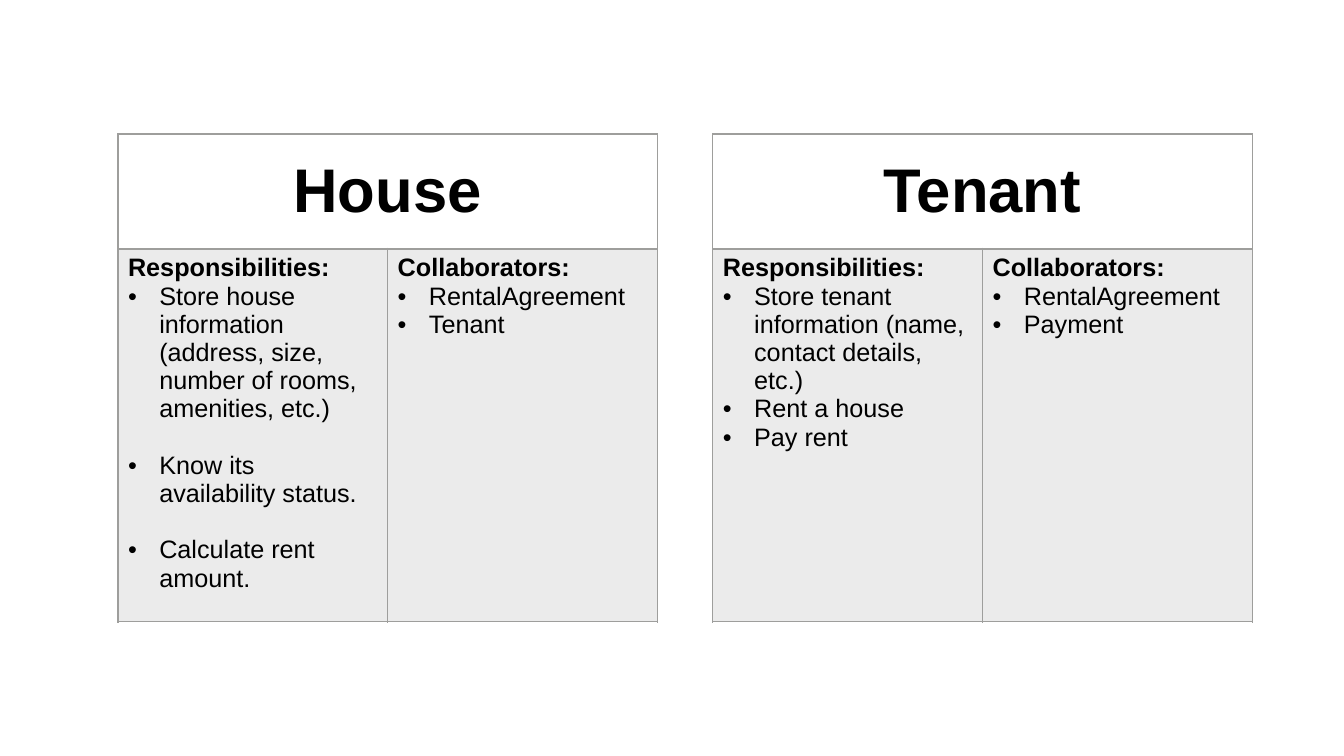
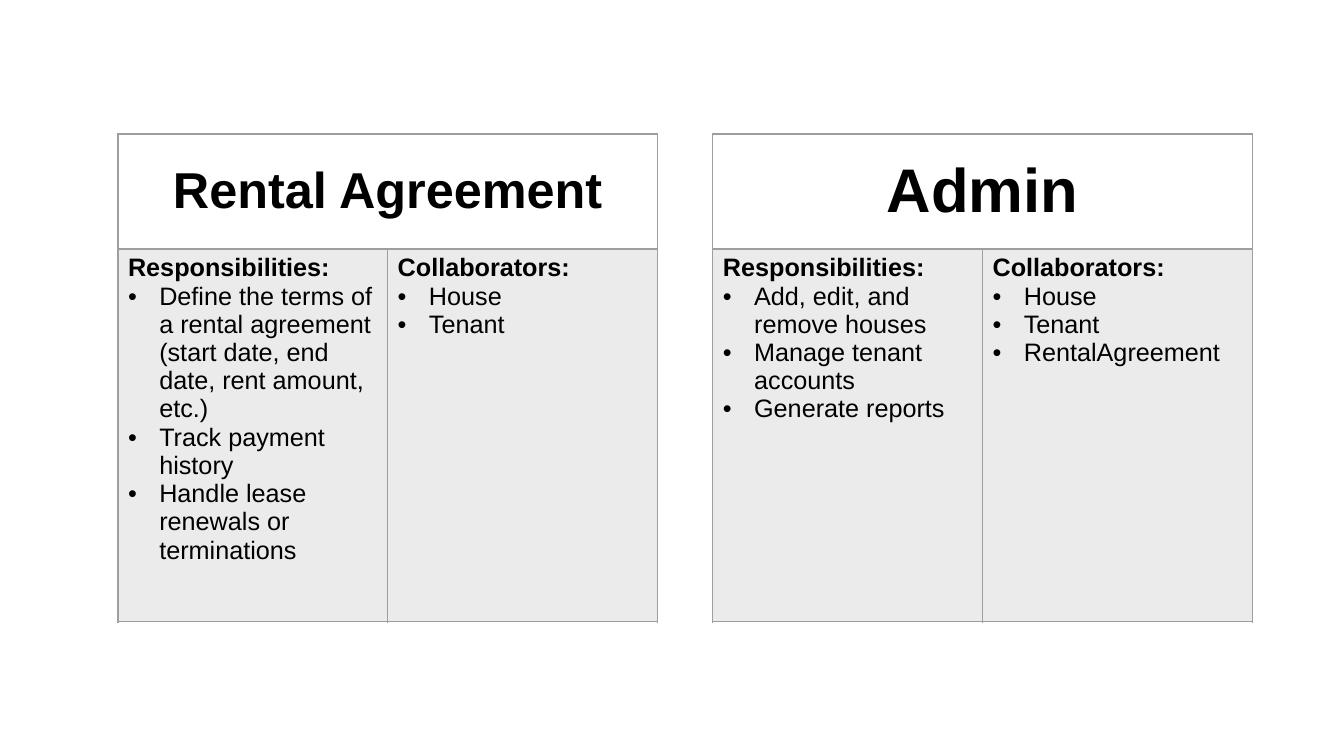
from dataclasses import dataclass

from lxml import etree
from pptx import Presentation
from pptx.dml.color import RGBColor
from pptx.enum.text import MSO_ANCHOR, PP_ALIGN
from pptx.oxml.ns import qn
from pptx.util import Inches, Pt

CENTER = PP_ALIGN.CENTER
LEFT = PP_ALIGN.LEFT
MIDDLE = MSO_ANCHOR.MIDDLE
TOP = MSO_ANCHOR.TOP
BLANK_LAYOUT = 6


@dataclass(frozen=True)
class Theme:
    font: str = "Arial"
    text: str = "000000"
    grey: str = "9E9E9C"
    body_opacity: int = 20
    title_size: int = 44
    body_size: int = 18
    line: float = 1
    title_line: float = 2
    bullet_indent: float = 0.31


@dataclass(frozen=True)
class Card:
    """A class name with its responsibilities and collaborators."""
    name: str
    responsibilities: tuple[str, ...]
    collaborators: tuple[str, ...]
    name_size: int = Theme.title_size
    item_gap: float = 0


THEME = Theme()
CARD_LEFT, CARD_TOP, CARD_PITCH = 1.17, 1.33, 5.9
COLUMN_WIDTH = 2.675
ROW_HEIGHTS = (1.14, 3.7)

SLIDES = (
    (
        Card(
            "House",
            (
                "Store house information (address, size, number of rooms, amenities, etc.)",
                "Know its availability status.",
                "Calculate rent amount.",
            ),
            ("RentalAgreement", "Tenant"),
            item_gap=20.1,
        ),
        Card(
            "Tenant",
            (
                "Store tenant information (name, contact details, etc.)",
                "Rent a house",
                "Pay rent",
            ),
            ("RentalAgreement", "Payment"),
        ),
    ),
    (
        Card(
            "Rental Agreement",
            (
                "Define the terms of a rental agreement (start date, end date, rent amount, etc.)",
                "Track payment history",
                "Handle lease renewals or terminations",
            ),
            ("House", "Tenant"),
            name_size=36,
        ),
        Card(
            "Admin",
            ("Add, edit, and remove houses", "Manage tenant accounts", "Generate reports"),
            ("House", "Tenant", "RentalAgreement"),
        ),
    ),
)


def write_text(paragraph, text: str, *, size: int = THEME.body_size, bold: bool = False,
               align: PP_ALIGN = LEFT, bullet: bool = False, space_before: float = 0) -> None:
    if bullet:
        properties = paragraph._p.get_or_add_pPr()
        indent = Inches(THEME.bullet_indent)
        properties.set("marL", str(indent))
        properties.set("indent", str(-indent))
        etree.SubElement(properties, qn("a:buFont"), typeface=THEME.font)
        etree.SubElement(properties, qn("a:buChar"), char="•")
    paragraph.alignment = align
    if space_before:
        paragraph.space_before = Pt(space_before)
    run = paragraph.add_run()
    run.text = text
    run.font.name = THEME.font
    run.font.size = Pt(size)
    run.font.bold = bold
    run.font.color.rgb = RGBColor.from_string(THEME.text)


def set_borders(cell, bottom: float = THEME.line) -> None:
    properties = cell._tc.get_or_add_tcPr()
    for side in "LRTB":
        width = Pt(bottom if side == "B" else THEME.line)
        line = etree.SubElement(properties, qn(f"a:ln{side}"), w=str(width))
        fill = etree.SubElement(line, qn("a:solidFill"))
        etree.SubElement(fill, qn("a:srgbClr"), val=THEME.grey)


def fill_translucent(cell) -> None:
    cell.fill.solid()
    cell.fill.fore_color.rgb = RGBColor.from_string(THEME.grey)
    color = cell._tc.tcPr.find(qn("a:solidFill")).find(qn("a:srgbClr"))
    etree.SubElement(color, qn("a:alpha"), val=str(THEME.body_opacity * 1000))


def write_list(cell, heading: str, items: tuple[str, ...], item_gap: float = 0) -> None:
    set_borders(cell)
    fill_translucent(cell)
    cell.vertical_anchor = TOP
    write_text(cell.text_frame.paragraphs[0], heading, bold=True)
    for index, item in enumerate(items):
        write_text(cell.text_frame.add_paragraph(), item, bullet=True,
                   space_before=item_gap if index else 0)


def add_card(slide, card: Card, left: float) -> None:
    table = slide.shapes.add_table(
        2, 2, Inches(left), Inches(CARD_TOP),
        Inches(2 * COLUMN_WIDTH), Inches(sum(ROW_HEIGHTS)),
    ).table
    table.first_row = False
    table.horz_banding = False
    for column in table.columns:
        column.width = Inches(COLUMN_WIDTH)
    for row, height in zip(table.rows, ROW_HEIGHTS):
        row.height = Inches(height)

    name_cell = table.cell(0, 0)
    name_cell.merge(table.cell(0, 1))
    for cell in table.rows[0].cells:
        set_borders(cell, bottom=THEME.title_line)
        cell.fill.background()
    name_cell.vertical_anchor = MIDDLE
    write_text(name_cell.text_frame.paragraphs[0], card.name,
               size=card.name_size, bold=True, align=CENTER)
    write_list(table.cell(1, 0), "Responsibilities:", card.responsibilities, card.item_gap)
    write_list(table.cell(1, 1), "Collaborators:", card.collaborators)


def main() -> None:
    presentation = Presentation()
    presentation.slide_width = Inches(13.33)
    presentation.slide_height = Inches(7.5)
    for cards in SLIDES:
        slide = presentation.slides.add_slide(presentation.slide_layouts[BLANK_LAYOUT])
        for index, card in enumerate(cards):
            add_card(slide, card, CARD_LEFT + index * CARD_PITCH)
    presentation.save("out.pptx")


if __name__ == "__main__":
    main()
